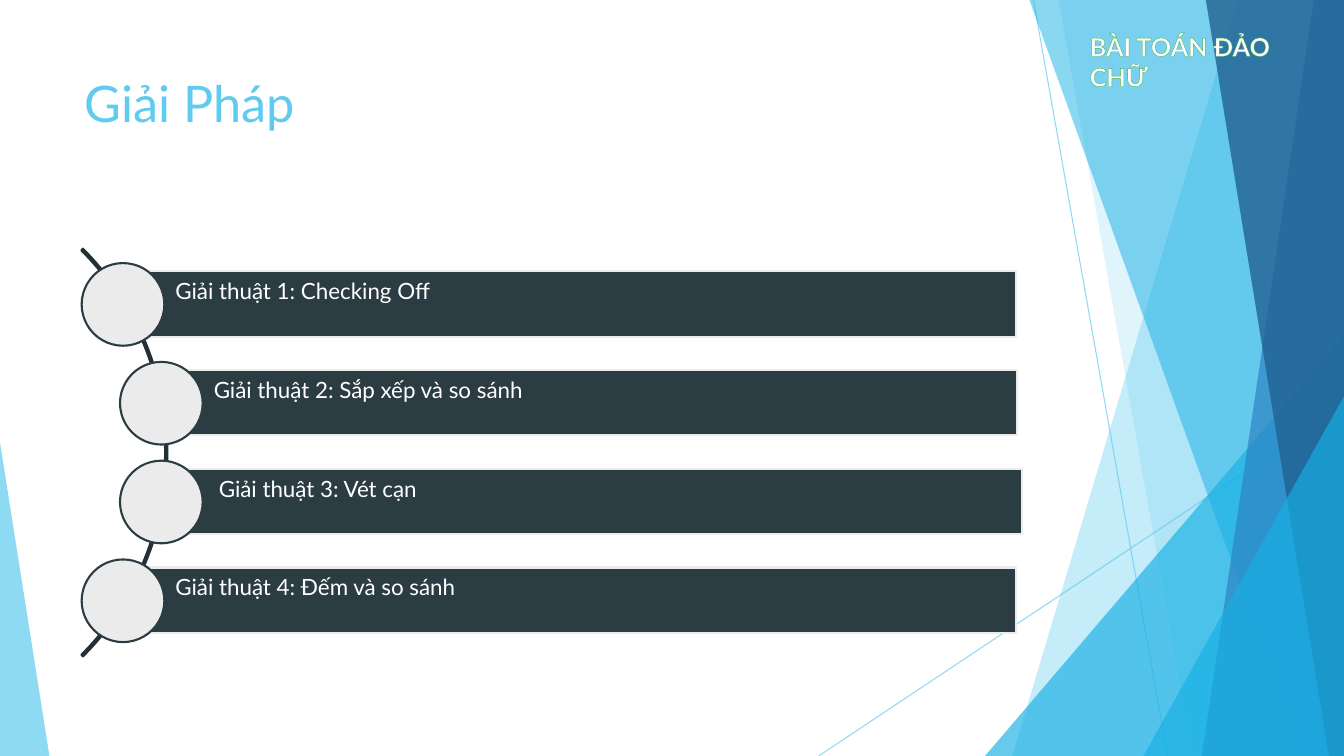
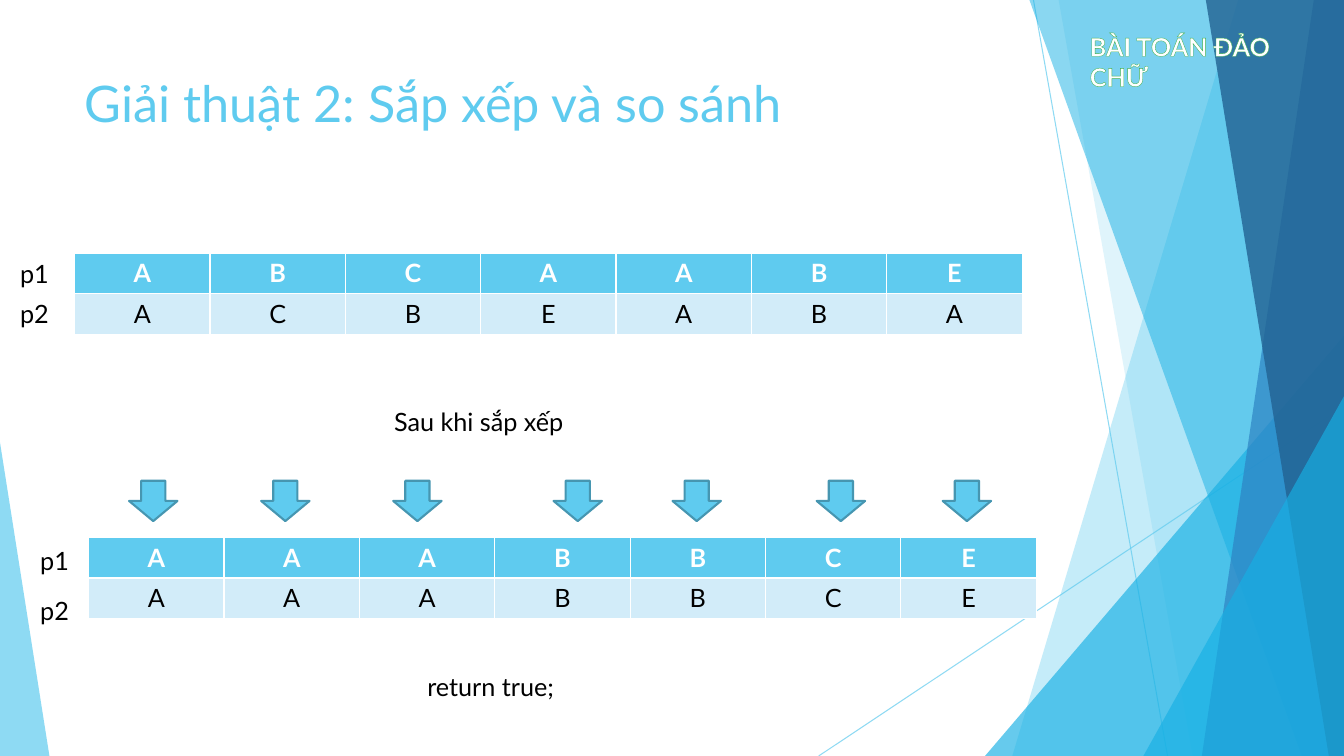
from pptx import Presentation
from pptx.dml.color import RGBColor
from pptx.enum.shapes import MSO_CONNECTOR, MSO_SHAPE as SHAPE
from pptx.enum.text import MSO_ANCHOR as ANCHOR, MSO_AUTO_SIZE as AUTO, PP_ALIGN as ALIGN
from pptx.oxml import parse_xml
from pptx.oxml.ns import nsdecls, qn
from pptx.oxml.xmlchemy import OxmlElement
from pptx.util import Inches, Pt

WIDTH, HEIGHT = 13.33, 7.5
FONT = "Lato"
WHITE = RGBColor(0xFF, 0xFF, 0xFF)
BLACK = RGBColor(0x00, 0x00, 0x00)
SKY = RGBColor(0x5F, 0xCB, 0xEF)
PALE_SKY = RGBColor(0xD2, 0xEC, 0xF9)
CYAN = RGBColor(0x17, 0xB0, 0xE4)
BLUE = RGBColor(0x2E, 0x83, 0xC3)
NAVY = RGBColor(0x22, 0x62, 0x92)
ARROW_EDGE = RGBColor(0x46, 0x96, 0xB1)
SLATE = RGBColor(0x2C, 0x3C, 0x43)
DARK_SLATE = RGBColor(0x23, 0x30, 0x36)
LIGHT_GRAY = RGBColor(0xEB, 0xEB, 0xEB)

HEADER = "BÀI TOÁN ĐẢO CHỮ"
HEADER_OUTLINE = (f'<a:ln {nsdecls("a")} w="12700"><a:solidFill>'
                  '<a:srgbClr val="42B051"/></a:solidFill></a:ln>')
HEADER_FILL = (f'<a:pattFill {nsdecls("a")} prst="ltDnDiag">'
               '<a:fgClr><a:srgbClr val="8AD394"/></a:fgClr>'
               '<a:bgClr><a:srgbClr val="FFFFFF"/></a:bgClr></a:pattFill>')


def set_opacity(shape, percent):
    for color in shape._element.spPr.iter(qn("a:srgbClr")):
        alpha = OxmlElement("a:alpha")
        alpha.set("val", str(percent * 1000))
        color.append(alpha)


class Deck:
    """Shared style and the slide being built."""

    def __init__(self):
        self.prs = Presentation()
        self.prs.slide_width, self.prs.slide_height = Inches(WIDTH), Inches(HEIGHT)
        self.slide = None

    def new_slide(self, title):
        self.slide = self.prs.slides.add_slide(self.prs.slide_layouts[5])
        self.backdrop()
        self.title(title)
        self.header()

    # Text
    def style(self, paragraph, size, color, bold=False, align=ALIGN.LEFT):
        paragraph.alignment = align
        font = paragraph.font
        font.name, font.size, font.bold = FONT, Pt(size), bold
        font.color.rgb = color

    def title(self, text):
        heading = self.slide.shapes.title
        heading.left, heading.top = Inches(0.74), Inches(0.67)
        heading.width, heading.height = Inches(9.4), Inches(1.44)
        frame = heading.text_frame
        frame.text = text
        frame.auto_size, frame.vertical_anchor = AUTO.NONE, ANCHOR.TOP
        self.style(frame.paragraphs[0], 36, SKY)
        self.slide.shapes._spTree.append(heading._element)  # in front of the backdrop

    def text(self, text, left, top, width, color=BLACK, bold=False):
        box = self.slide.shapes.add_textbox(Inches(left), Inches(top), Inches(width), Inches(0.4))
        frame = box.text_frame
        frame.word_wrap, frame.auto_size = True, AUTO.SHAPE_TO_FIT_TEXT
        frame.text = text
        self.style(frame.paragraphs[0], 18, color, bold)
        return frame.paragraphs[0]

    def header(self):
        run = self.text(HEADER, 10.71, 0.26, 2.52, WHITE, bold=True).runs[0]
        props = run.font._element
        props.insert(0, parse_xml(HEADER_OUTLINE))
        props.insert(1, parse_xml(HEADER_FILL))

    # Shapes
    def paint(self, shape, fill, line=None, opacity=100):
        shape.shadow.inherit = False
        if fill is None:
            shape.fill.background()
        else:
            shape.fill.solid()
            shape.fill.fore_color.rgb = fill
        if line is None:
            shape.line.fill.background()
        else:
            shape.line.color.rgb, shape.line.width = line, Pt(1.5)
        if opacity < 100:
            set_opacity(shape, opacity)

    def shape(self, kind, left, top, width, height, fill, line=None, opacity=100, adjust=()):
        shape = self.slide.shapes.add_shape(
            kind, Inches(left), Inches(top), Inches(width), Inches(height))
        for index, value in enumerate(adjust):
            shape.adjustments[index] = value
        self.paint(shape, fill, line, opacity)
        return shape

    def band(self, top_x, bottom_x, fill, opacity):
        """Area from a slanted left edge to the right side of the slide."""
        corners = [(Inches(x), Inches(y)) for x, y in
                   ((top_x, 0), (WIDTH, 0), (WIDTH, HEIGHT), (bottom_x, HEIGHT))]
        builder = self.slide.shapes.build_freeform(*corners[0], scale=1.0)
        builder.add_line_segments(corners[1:], close=True)
        self.paint(builder.convert_to_shape(), fill, opacity=opacity)

    def corner(self, left, top, width, fill, opacity, apex):
        self.shape(SHAPE.ISOSCELES_TRIANGLE, left, top, width, HEIGHT - top,
                   fill, opacity=opacity, adjust=[apex])

    def hairline(self, *ends):
        line = self.slide.shapes.add_connector(
            MSO_CONNECTOR.STRAIGHT, *[Inches(value) for value in ends])
        line.line.color.rgb, line.line.width = SKY, Pt(0.75)
        set_opacity(line, 70)
        line._element.spPr.append(OxmlElement("a:effectLst"))

    def backdrop(self):
        self.hairline(10.25, 0, 11.58, HEIGHT)
        self.hairline(WIDTH, 4.03, 8.12, HEIGHT)
        self.band(12.28, 10.04, SKY, 36)
        self.band(10.5, 11.83, SKY, 20)
        self.corner(9.77, 3.33, 3.56, CYAN, 66, apex=1)
        self.band(10.21, 12.91, CYAN, 50)
        self.band(13.03, 11.92, BLUE, 70)
        self.band(11.96, 13.18, NAVY, 80)
        self.corner(11.34, 3.93, 1.99, CYAN, 66, apex=1)
        self.corner(0, 4.39, 0.49, SKY, 70, apex=0)

    # Content parts
    def step(self, text, top, bar_left, bar_width, dot_left):
        bar = self.shape(SHAPE.RECTANGLE, bar_left, top, bar_width, 0.65, SLATE, LIGHT_GRAY)
        frame = bar.text_frame
        frame.text = text
        frame.word_wrap, frame.vertical_anchor = True, ANCHOR.TOP
        frame.margin_left, frame.margin_top = Inches(0.52), Inches(0.06)
        self.style(frame.paragraphs[0], 16, WHITE)
        self.shape(SHAPE.OVAL, dot_left, top - 0.08, 0.82, 0.82, LIGHT_GRAY, SLATE)

    def letters(self, rows, left, top):
        table = self.slide.shapes.add_table(
            len(rows), len(rows[0]), Inches(left), Inches(top), Inches(9.4), Inches(0.81)).table
        looks = ((SKY, WHITE, True), (PALE_SKY, BLACK, False))
        for row, word, (fill, color, bold) in zip(table.rows, rows, looks):
            for cell, letter in zip(row.cells, word):
                cell.text = letter
                cell.fill.solid()
                cell.fill.fore_color.rgb = fill
                self.style(cell.text_frame.paragraphs[0], 18, color, bold, ALIGN.CENTER)


def solutions(deck):
    deck.new_slide("Giải Pháp")
    deck.shape(SHAPE.BLOCK_ARC, -4.06, 1.63, 5.72, 5.72, None, DARK_SLATE,
               adjust=[189, 27, 0.004])
    steps = (("Giải thuật 1: Checking Off", 1.22, 8.86, 0.81),
             ("Giải thuật 2: Sắp xếp và so sánh", 1.6, 8.49, 1.19),
             ("Giải thuật 3: Vét cạn", 1.65, 8.49, 1.19),
             ("Giải thuật 4: Đếm và so sánh", 1.22, 8.86, 0.81))
    for index, (text, bar_left, bar_width, dot_left) in enumerate(steps):
        deck.step(text, 2.69 + 0.98 * index, bar_left, bar_width, dot_left)


def sort_and_compare(deck):
    deck.new_slide("Giải thuật 2: Sắp xếp và so sánh")
    # Words before and after sorting
    deck.letters(("ABCAABE", "ACBEABA"), 0.74, 2.51)
    deck.letters(("AAABBCE", "AAABBCE"), 0.88, 5.33)
    for name, left, top in (("p1", 0.1, 2.51), ("p2", 0.1, 2.91),
                            ("p1", 0.3, 5.36), ("p2", 0.3, 5.86)):
        deck.text(name, left, top, 0.55)
    deck.text("Sau khi sắp xếp", 3.81, 3.98, 2.12)
    # Pairwise comparison and result
    for left in (1.28, 2.59, 3.9, 5.49, 6.67, 8.1, 9.35):
        deck.shape(SHAPE.DOWN_ARROW, left, 4.77, 0.48, 0.4, SKY, ARROW_EDGE)
    deck.text("return true;", 4.14, 6.61, 3.53)


def main():
    deck = Deck()
    solutions(deck)
    sort_and_compare(deck)
    deck.prs.save("out.pptx")


if __name__ == "__main__":
    main()
